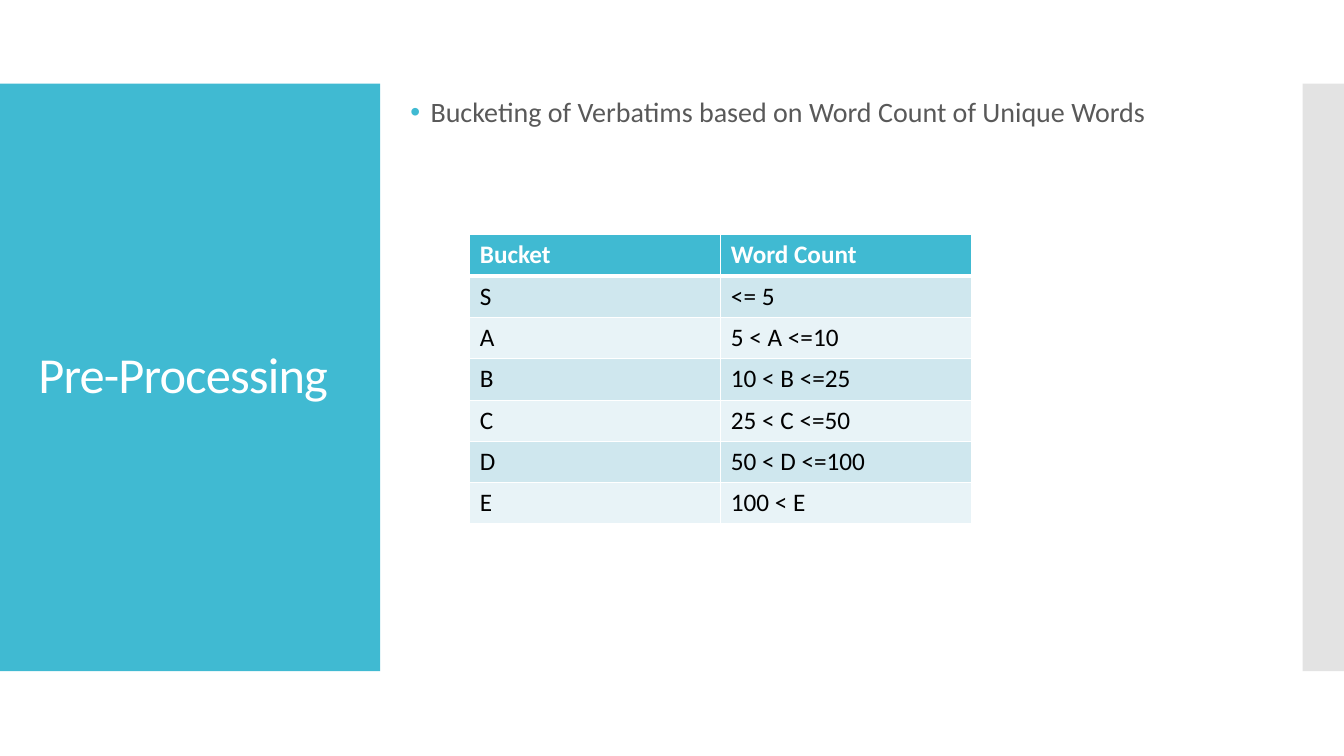
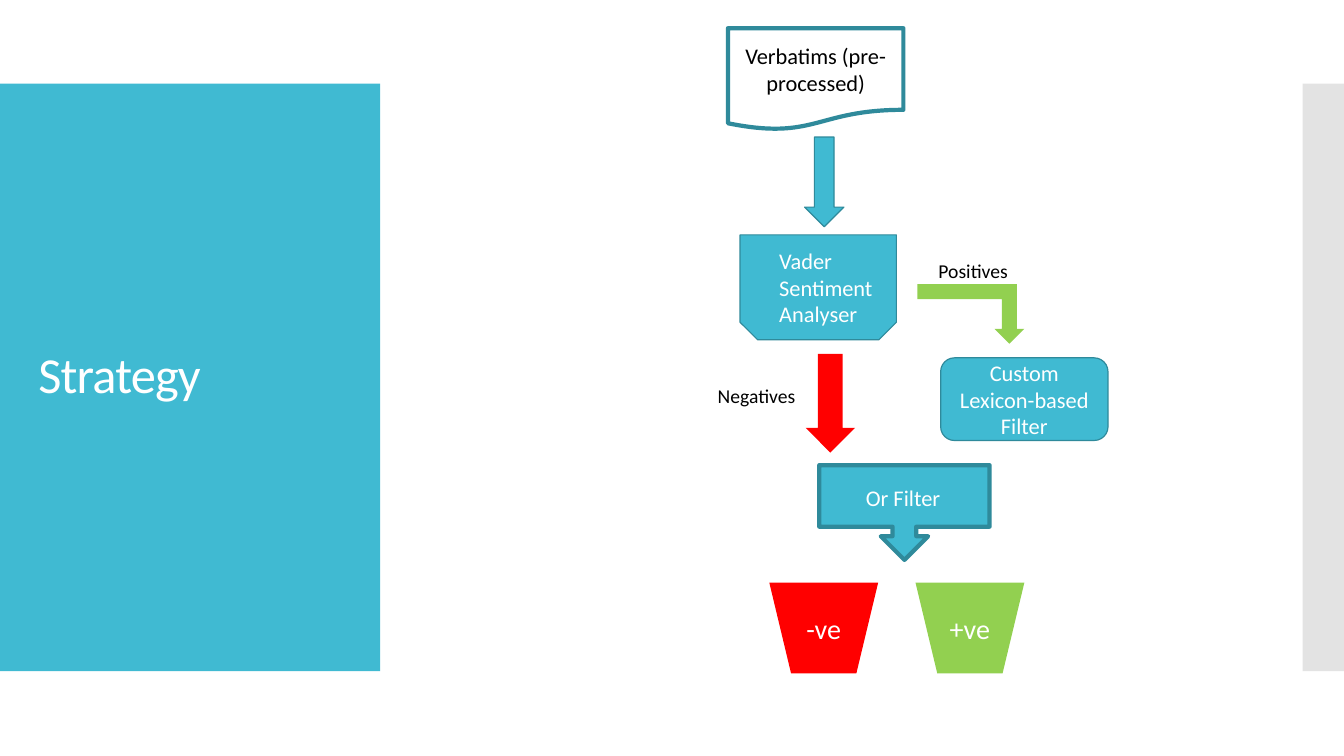
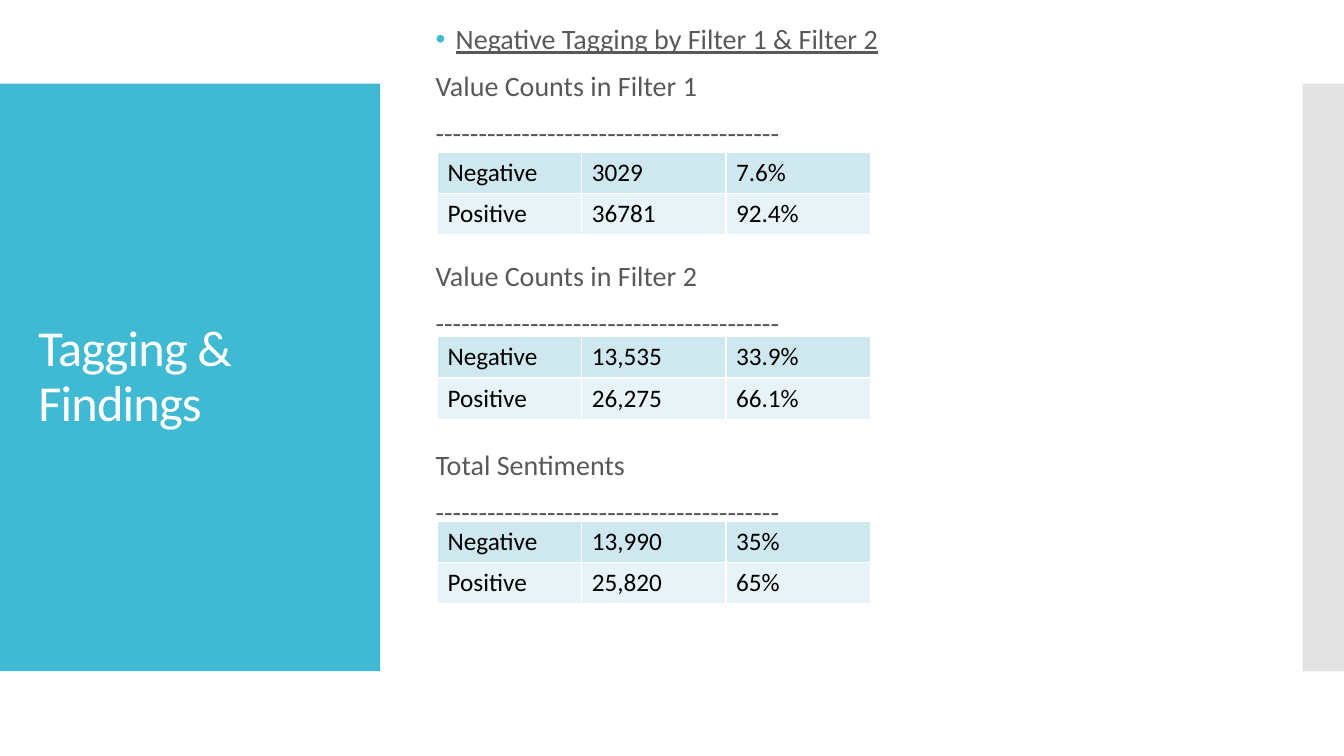
from dataclasses import dataclass

from lxml import etree
from pptx import Presentation
from pptx.dml.color import RGBColor
from pptx.enum.shapes import MSO_SHAPE
from pptx.enum.text import MSO_ANCHOR, MSO_AUTO_SIZE, PP_ALIGN
from pptx.oxml.ns import qn
from pptx.util import Inches, Pt

MIDDLE, TOP = MSO_ANCHOR.MIDDLE, MSO_ANCHOR.TOP
LEFT, CENTER = PP_ALIGN.LEFT, PP_ALIGN.CENTER
RECTANGLE = MSO_SHAPE.RECTANGLE
DOCUMENT = MSO_SHAPE.FLOWCHART_DOCUMENT
DOWN_ARROW = MSO_SHAPE.DOWN_ARROW
SNIPPED = MSO_SHAPE.SNIP_2_SAME_RECTANGLE
BENT_ARROW = MSO_SHAPE.BENT_UP_ARROW
ROUNDED = MSO_SHAPE.ROUNDED_RECTANGLE
CALLOUT = MSO_SHAPE.RIGHT_ARROW_CALLOUT
BUCKET = MSO_SHAPE.FLOWCHART_MANUAL_OPERATION


@dataclass(frozen=True)
class Theme:
    font: str = "Calibri"
    accent: str = "40BAD2"
    outline: str = "2F8A9B"
    side: str = "C8C8C8"
    body: str = "595959"
    white: str = "FFFFFF"
    black: str = "000000"
    red: str = "FF0000"
    green: str = "92D050"
    stripes: tuple = ("CFE7EE", "E8F3F7")
    title_size: float = 36
    body_size: float = 20
    table_size: float = 18
    flow_size: float = 16
    label_size: float = 14
    thin: float = 0.85
    thick: float = 3


THEME = Theme()
INSET = 0.05
ROW_HEIGHT = 0.41
LINE_STEP = 34  # points from one body line to the next
SPACE_BEFORE = 12
WIDE_SPACE = SPACE_BEFORE + 2 * LINE_STEP

BUCKETS = [
    ("Bucket", "Word Count"),
    ("S", "<= 5"),
    ("A", "5 < A <=10"),
    ("B", "10 < B <=25"),
    ("C", "25 < C <=50"),
    ("D", "50 < D <=100"),
    ("E", "100 < E"),
]
BUCKET_LINES = [
    {"text": "Bucketing of Verbatims based on Word Count of Unique Words", "bullet": True},
]

RULE = "-" * 40
FINDINGS = [
    ("Value Counts in Filter 1",
     [("Negative", "3029", "7.6%"), ("Positive", "36781", "92.4%")]),
    ("Value Counts in Filter 2",
     [("Negative", "13,535", "33.9%"), ("Positive", "26,275", "66.1%")]),
    ("Total Sentiments",
     [("Negative", "13,990", "35%"), ("Positive", "25,820", "65%")]),
]
FINDING_LINES = [
    {"text": "Negative Tagging by Filter 1 & Filter 2", "bullet": True, "underline": True},
]
for position, (heading, _) in enumerate(FINDINGS):
    FINDING_LINES += [
        {"text": heading, "space": WIDE_SPACE if position else SPACE_BEFORE},
        {"text": RULE},
    ]

FLOW_SHAPES = [
    {"kind": DOCUMENT, "box": (7.22, 0.28, 1.74, 1.01), "line": THEME.thick,
     "text": "Verbatims (pre-processed)", "color": THEME.black},
    {"kind": DOWN_ARROW, "box": (7.98, 1.36, 0.39, 0.89),
     "fill": THEME.accent, "line": THEME.thin},
    {"kind": SNIPPED, "box": (7.34, 2.33, 1.55, 1.04), "rotation": 180,
     "fill": THEME.accent, "line": THEME.thin},
    {"kind": BENT_ARROW, "box": (9.1, 2.82, 1.06, 0.59), "rotation": 180,
     "flip": True, "fill": THEME.green},
    {"kind": DOWN_ARROW, "box": (7.99, 3.51, 0.49, 0.98), "fill": THEME.red},
    {"kind": ROUNDED, "box": (9.33, 3.55, 1.66, 0.82), "fill": THEME.accent,
     "line": THEME.thin, "text": "Custom Lexicon-based Filter"},
    {"kind": CALLOUT, "box": (8.5, 4.24, 0.94, 1.69), "rotation": 90,
     "fill": THEME.accent, "line": THEME.thick},
    {"kind": BUCKET, "box": (7.63, 5.78, 1.08, 0.9), "fill": THEME.red,
     "text": "-ve", "size": THEME.body_size},
    {"kind": BUCKET, "box": (9.08, 5.78, 1.08, 0.9), "fill": THEME.green,
     "text": "+ve", "size": THEME.body_size},
]
FLOW_LABELS = [
    ("Positives", (9.21, 2.52, 0.96, 0.34), THEME.label_size, THEME.black),
    ("Negatives", (7.02, 3.76, 1.11, 0.34), THEME.label_size, THEME.black),
    ("Or Filter", (8.49, 4.75, 1.07, 0.37), THEME.flow_size, THEME.white),
    ("Vader Sentiment Analyser", (7.63, 2.4, 1.6, 0.91), THEME.flow_size, THEME.white),
]


def rgb(value):
    return RGBColor.from_string(value)


def inches(box):
    return [Inches(length) for length in box]


def place(shape, box):
    shape.left, shape.top, shape.width, shape.height = inches(box)


def add_color(parent, tag, value):
    holder = etree.SubElement(parent, qn(tag))
    etree.SubElement(holder, qn("a:srgbClr"), val=value)


def add_run(paragraph, text, size, color, bold=False, underline=False):
    run = paragraph.add_run()
    run.text = text
    font = run.font
    font.name, font.size, font.bold = THEME.font, Pt(size), bold
    font.underline = underline
    font.color.rgb = rgb(color)
    return run


def add_shape(slide, kind, box, fill=None, line=None, rotation=0, flip=False,
              text="", size=THEME.flow_size, color=THEME.white):
    shape = slide.shapes.add_shape(kind, *inches(box))
    shape.shadow.inherit = False
    shape.rotation = rotation
    if flip:
        shape.element.spPr.find(qn("a:xfrm")).set("flipH", "1")
    if fill:
        shape.fill.solid()
        shape.fill.fore_color.rgb = rgb(fill)
    else:
        shape.fill.background()
    if line:
        shape.line.color.rgb = rgb(THEME.outline)
        shape.line.width = Pt(line)
    else:
        shape.line.fill.background()
    if text:
        shape.text_frame.vertical_anchor = MIDDLE
        paragraph = shape.text_frame.paragraphs[0]
        paragraph.alignment = CENTER
        add_run(paragraph, text, size, color)
    return shape


def add_label(slide, text, box, size, color):
    frame = slide.shapes.add_textbox(*inches(box)).text_frame
    frame.word_wrap = True
    frame.vertical_anchor = TOP
    add_run(frame.paragraphs[0], text, size, color)


def prepare_layout(presentation):
    """Give the layout its title position and the two coloured bands."""
    layout = presentation.slide_layouts[1]
    title, body, *footers = layout.placeholders
    for footer in footers:
        footer.element.getparent().remove(footer.element)
    place(title, (0.28, 1.23, 3.22, 5.03))
    place(body, (4.22, 0.42, 8, 5.6))

    # Layouts cannot add shapes, so the bands are drawn on a slide and moved.
    slide = presentation.slides.add_slide(layout)
    panel = add_shape(slide, RECTANGLE, (0, 0.83, 3.77, 5.83), THEME.accent)
    side = add_shape(slide, RECTANGLE, (12.92, 0.83, 0.42, 5.83), THEME.side)
    color = side.element.spPr.find(qn("a:solidFill")).find(qn("a:srgbClr"))
    etree.SubElement(color, qn("a:alpha"), val="50000")
    for index, band in enumerate((panel, side), start=2):
        layout.shapes.element.insert(index, band.element)
    return layout, slide


def set_title(slide, text):
    frame = slide.shapes.title.text_frame
    frame.auto_size = MSO_AUTO_SIZE.NONE
    frame.vertical_anchor = MIDDLE
    paragraph = frame.paragraphs[0]
    paragraph.alignment = LEFT
    paragraph.line_spacing = 0.9
    run = add_run(paragraph, text, THEME.title_size, THEME.white)
    run.font._element.set("spc", "-60")


def set_bullet(paragraph, bullet):
    properties = paragraph._p.get_or_add_pPr()
    indent = Inches(0.2) if bullet else 0
    properties.set("marL", str(indent))
    properties.set("indent", str(-indent))
    if bullet:
        add_color(properties, "a:buClr", THEME.accent)
        etree.SubElement(properties, qn("a:buChar"), char="•")
    else:
        etree.SubElement(properties, qn("a:buNone"))


def set_body(slide, lines, box, free_lines):
    """Fill the body, leaving room for free_lines lines below the text."""
    body = slide.placeholders[1]
    place(body, box)
    frame = body.text_frame
    frame.auto_size = MSO_AUTO_SIZE.NONE
    frame.vertical_anchor = MIDDLE
    frame.margin_bottom = Inches(INSET) + Pt(free_lines * LINE_STEP)
    for index, line in enumerate(lines):
        paragraph = frame.add_paragraph() if index else frame.paragraphs[0]
        paragraph.alignment = LEFT
        paragraph.line_spacing = 0.9
        paragraph.space_before = Pt(line.get("space", SPACE_BEFORE))
        set_bullet(paragraph, line.get("bullet", False))
        add_run(paragraph, line["text"], THEME.body_size, THEME.body,
                underline=line.get("underline", False))


def set_borders(cell, top, bottom):
    properties = cell._tc.get_or_add_tcPr()
    sides = (("a:lnL", 1), ("a:lnR", 1), ("a:lnT", top), ("a:lnB", bottom))
    for index, (tag, width) in enumerate(sides):
        border = etree.Element(qn(tag), w=str(Pt(width)))
        add_color(border, "a:solidFill", THEME.white)
        properties.insert(index, border)


def add_table(slide, rows, left, top, column_width, header=False):
    columns = len(rows[0])
    table = slide.shapes.add_table(
        len(rows), columns,
        *inches((left, top, columns * column_width, len(rows) * ROW_HEIGHT))).table
    table.first_row, table.horz_banding = header, False
    for column in table.columns:
        column.width = Inches(column_width)
    for row_index, row in enumerate(rows):
        table.rows[row_index].height = Inches(ROW_HEIGHT)
        is_header = header and row_index == 0
        below_header = header and row_index == 1
        stripe = THEME.stripes[(row_index - header) % 2]
        for column_index, text in enumerate(row):
            cell = table.cell(row_index, column_index)
            cell.fill.solid()
            cell.fill.fore_color.rgb = rgb(THEME.accent if is_header else stripe)
            set_borders(cell, 3 if below_header else 1, 3 if is_header else 1)
            add_run(cell.text_frame.paragraphs[0], text, THEME.table_size,
                    THEME.white if is_header else THEME.black, bold=is_header)


def build_buckets(slide):
    set_title(slide, "Pre-Processing")
    set_body(slide, BUCKET_LINES, (3.97, 0.86, 8, 1.01), free_lines=1)
    add_table(slide, BUCKETS, 4.66, 2.33, 2.49, header=True)


def build_strategy(slide):
    set_title(slide, "Strategy")
    body = slide.placeholders[1].element
    body.getparent().remove(body)
    for item in FLOW_SHAPES:
        add_shape(slide, **item)
    for label in FLOW_LABELS:
        add_label(slide, *label)


def build_findings(slide):
    set_title(slide, "Tagging & Findings")
    set_body(slide, FINDING_LINES, (4.22, 0.42, 8, 5.6), free_lines=2)
    for index, (_, rows) in enumerate(FINDINGS):
        add_table(slide, rows, 4.34, 1.51 + index * 1.83, 1.43)


def main():
    presentation = Presentation()
    presentation.slide_width = Inches(13.33)
    presentation.slide_height = Inches(7.5)
    layout, first_slide = prepare_layout(presentation)
    build_buckets(first_slide)
    build_strategy(presentation.slides.add_slide(layout))
    build_findings(presentation.slides.add_slide(layout))
    presentation.save("out.pptx")


if __name__ == "__main__":
    main()
